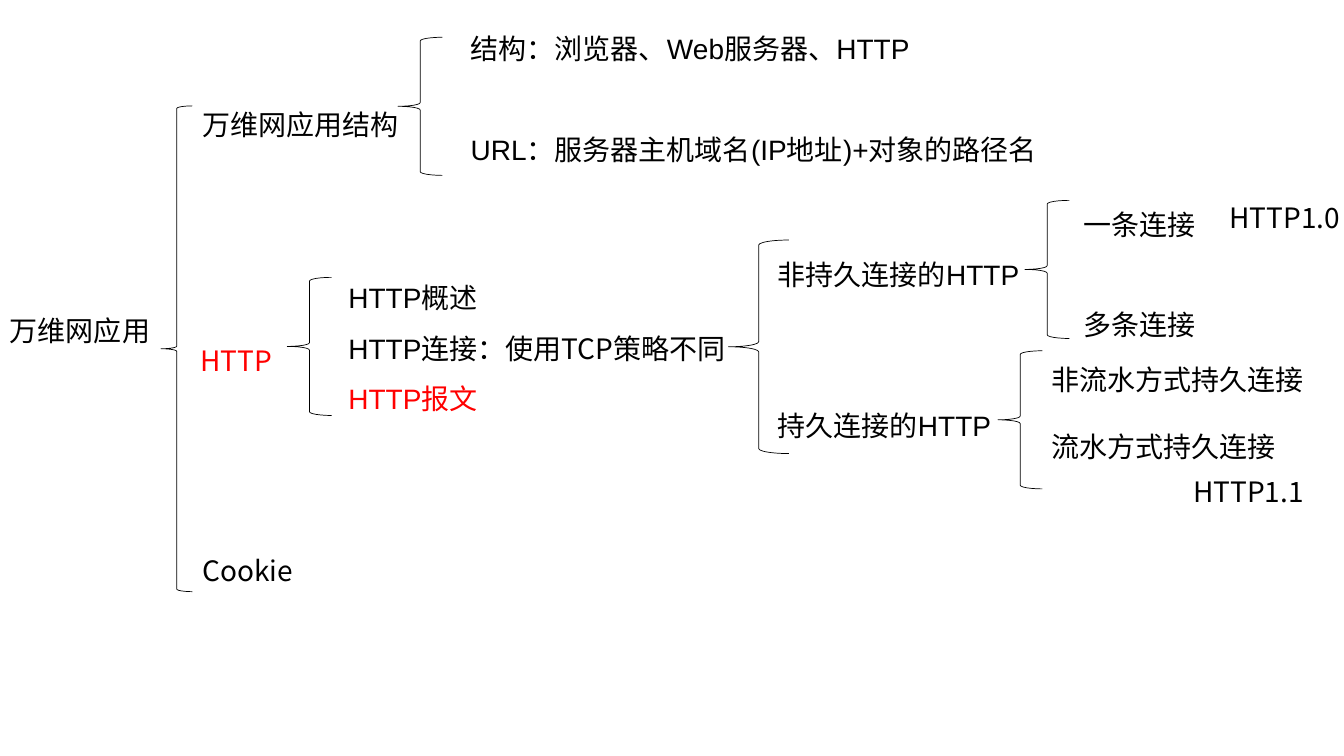
from pptx import Presentation
from pptx.dml.color import RGBColor
from pptx.enum.shapes import MSO_SHAPE
from pptx.util import Cm, Pt

COLORS = {"ink": "000000", "key": "FF0000"}
SANS = "Noto Sans CJK SC"
ARIAL = "Arial"


class Board:
    def __init__(self, slide, size=20, line=0.5):
        self.slide = slide
        self.size = Pt(size)
        self.line = Pt(line)

    def color(self, name):
        return RGBColor.from_string(COLORS[name])

    def brace(self, left, top, width=1.12, height=3.48):
        shape = self.slide.shapes.add_shape(
            MSO_SHAPE.LEFT_BRACE, Cm(left), Cm(top), Cm(width), Cm(height))
        shape.shadow.inherit = False
        shape.fill.background()
        shape.line.color.rgb = self.color("ink")
        shape.line.width = self.line

    def text(self, left, top, width, height, items, font=SANS,
             space=1.5, gap=0, wrap=True):
        box = self.slide.shapes.add_textbox(
            Cm(left), Cm(top), Cm(width), Cm(height))
        frame = box.text_frame
        frame.word_wrap = wrap
        for index, (parts, color) in enumerate(items):
            para = frame.add_paragraph() if index else frame.paragraphs[0]
            para.line_spacing = space
            if index and gap:
                para.space_before = Pt(gap)
            para.font.size = self.size
            para.font.color.rgb = self.color(color)
            if isinstance(parts, str):
                para.font.name = font
                para.add_run().text = parts
            else:
                for words, face in parts:
                    run = para.add_run()
                    run.text = words
                    run.font.name = face

    def label(self, left, top, width, words, color="ink", space=1.5):
        height = 1.4 if space > 1 else 1.12
        self.text(left, top, width, height, [(words, color)], space=space)


def main():
    deck = Presentation()
    deck.slide_width, deck.slide_height = Cm(33.87), Cm(19.05)
    board = Board(deck.slides.add_slide(deck.slide_layouts[6]))

    board.label(0, 7.34, 4.09, "万维网应用")
    board.brace(4.06, 2.67, 0.79, 12.24)
    board.label(4.85, 2.16, 6.1, "万维网应用结构")
    board.label(4.85, 13.41, 3.68, "Cookie")
    board.label(4.8, 8.1, 2.87, "HTTP", "key")

    board.brace(10.03, 0.94)
    board.text(11.61, 0.25, 19.3, 3.96, [
        ("结构：浏览器、Web服务器、HTTP", "ink"),
        ("URL：服务器主机域名(IP地址)+对象的路径名", "ink"),
    ], ARIAL, gap=36)

    board.brace(7.24, 6.99)
    board.text(8.53, 6.53, 10.13, 4.11, [
        ("HTTP概述", "ink"),
        ([("HTTP连接：", ARIAL), ("使用TCP策略不同", SANS)], "ink"),
        ("HTTP报文", "key"),
    ], ARIAL)

    board.brace(18.36, 6.05, 1.52, 5.38)
    board.text(19.35, 5.94, 6.91, 5.38, [
        ("非持久连接的HTTP", "ink"),
        ("持久连接的HTTP", "ink"),
    ], ARIAL, gap=72)

    board.brace(25.83, 5.05)
    board.text(27.05, 4.67, 3.86, 4.11, [
        ("一条连接", "ink"),
        ("多条连接", "ink"),
    ], ARIAL, gap=36)

    board.text(26.24, 9.02, 6.93, 2.82, [
        ("非流水方式持久连接", "ink"),
        ("流水方式持久连接", "ink"),
    ], space=1, gap=23.5, wrap=False)
    board.brace(25.15, 8.84)
    board.label(30.73, 4.93, 4.04, "HTTP1.0", space=1)
    board.label(29.82, 11.84, 4.04, "HTTP1.1", space=1)

    deck.save("out.pptx")


if __name__ == "__main__":
    main()
